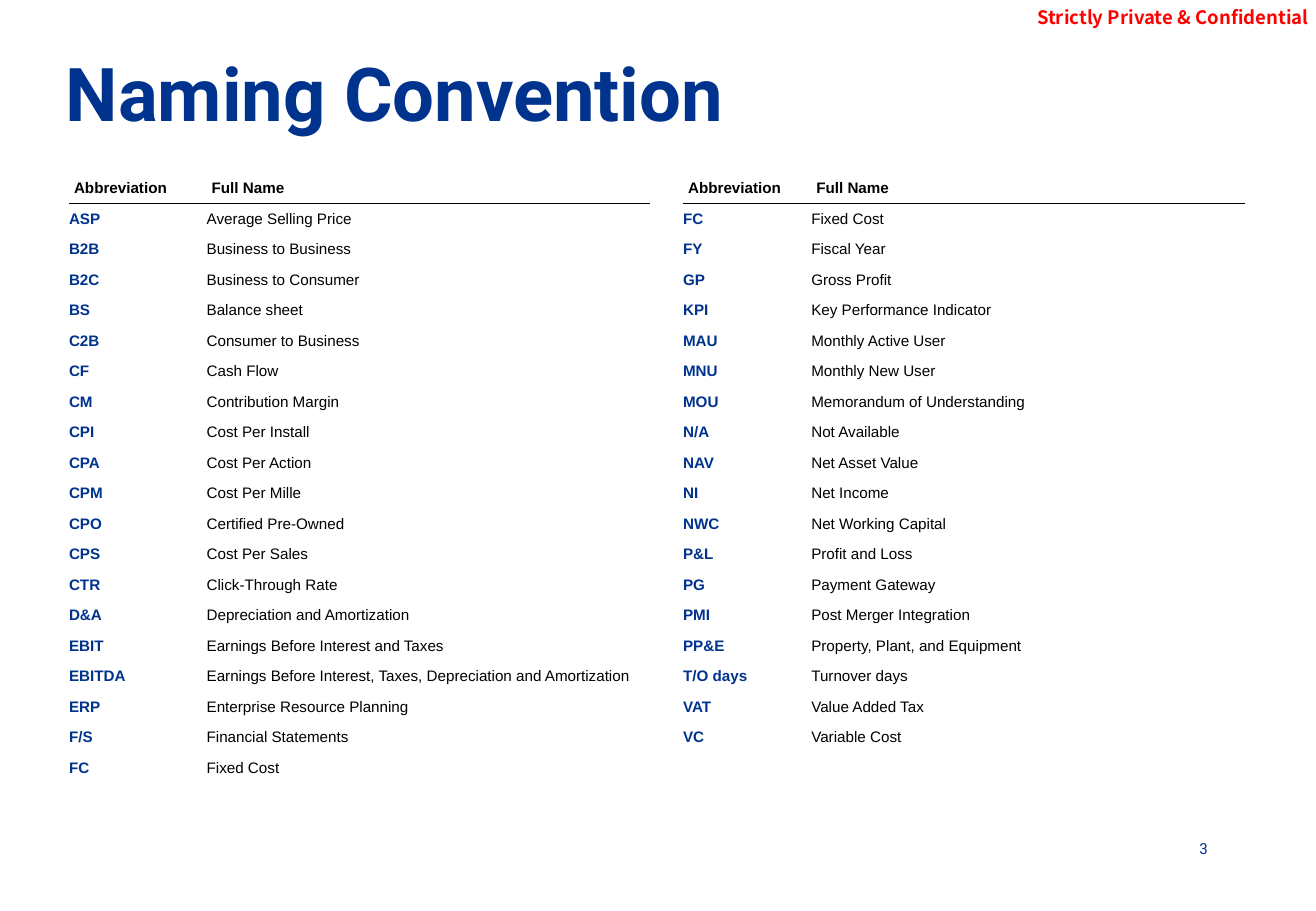
"""Build the naming convention slide with its table of abbreviations."""
from dataclasses import dataclass
from itertools import zip_longest

from lxml.etree import SubElement
from pptx import Presentation
from pptx.dml.color import RGBColor as RGB
from pptx.enum.text import MSO_ANCHOR as ANCHOR, MSO_AUTO_SIZE as AUTO, PP_ALIGN as ALIGN
from pptx.oxml.ns import qn
from pptx.util import Pt


@dataclass(frozen=True)
class Theme:
    navy: RGB = RGB(0x00, 0x33, 0x8D)
    black: RGB = RGB(0x00, 0x00, 0x00)
    red: RGB = RGB(0xFF, 0x00, 0x00)
    title_font: str = "Roboto"
    table_font: str = "Arial"
    label_font: str = "Noto Sans CJK KR"
    title_size: int = 44
    label_size: int = 11
    body_size: int = 9


THEME = Theme()
HEADER = ("Abbreviation", "Full Name")
BLANK = ("", "")
COLUMN_WIDTHS = (81.6, 262.8, 19.6, 76, 257)
ROW_HEIGHT = 18.11
LEFT_TERMS = [
    ("ASP", "Average Selling Price"),
    ("B2B", "Business to Business"),
    ("B2C", "Business to Consumer"),
    ("BS", "Balance sheet"),
    ("C2B", "Consumer to Business"),
    ("CF", "Cash Flow"),
    ("CM", "Contribution Margin"),
    ("CPI", "Cost Per Install"),
    ("CPA", "Cost Per Action"),
    ("CPM", "Cost Per Mille"),
    ("CPO", "Certified Pre-Owned"),
    ("CPS", "Cost Per Sales"),
    ("CTR", "Click-Through Rate"),
    ("D&A", "Depreciation and Amortization"),
    ("EBIT", "Earnings Before Interest and Taxes"),
    ("EBITDA", "Earnings Before Interest, Taxes, Depreciation and Amortization"),
    ("ERP", "Enterprise Resource Planning"),
    ("F/S", "Financial Statements"),
    ("FC", "Fixed Cost"),
]
RIGHT_TERMS = [
    ("FC", "Fixed Cost"),
    ("FY", "Fiscal Year"),
    ("GP", "Gross Profit"),
    ("KPI", "Key Performance Indicator"),
    ("MAU", "Monthly Active User"),
    ("MNU", "Monthly New User"),
    ("MOU", "Memorandum of Understanding"),
    ("N/A", "Not Available"),
    ("NAV", "Net Asset Value"),
    ("NI", "Net Income"),
    ("NWC", "Net Working Capital"),
    ("P&L", "Profit and Loss"),
    ("PG", "Payment Gateway"),
    ("PMI", "Post Merger Integration"),
    ("PP&E", "Property, Plant, and Equipment"),
    ("T/O days", "Turnover days"),
    ("VAT", "Value Added Tax"),
    ("VC", "Variable Cost"),
]


def set_font(p, name, size, color, bold=False):
    p.font.name = name
    p.font.size = Pt(size)
    p.font.color.rgb = color
    p.font.bold = bold


def place(sp, left, top, width, height):
    sp.left, sp.top, sp.width, sp.height = map(Pt, (left, top, width, height))


def set_margins(target, left, top, right, bottom):
    target.margin_left, target.margin_top = Pt(left), Pt(top)
    target.margin_right, target.margin_bottom = Pt(right), Pt(bottom)


def add_title(s, text):
    sp = s.shapes.title
    place(sp, 31.7, 38.9, 676.8, 46.1)
    tf = sp.text_frame
    tf.text = text
    tf.auto_size = AUTO.NONE
    tf.vertical_anchor = ANCHOR.TOP
    p = tf.paragraphs[0]
    p.alignment = ALIGN.LEFT
    p.line_spacing = 0.7
    set_font(p, THEME.title_font, THEME.title_size, THEME.navy, True)


def add_right_label(s, text, box, margins, anchor, font):
    tf = s.shapes.add_textbox(*map(Pt, box)).text_frame
    tf.text = text
    tf.word_wrap = True
    tf.vertical_anchor = anchor
    set_margins(tf, *margins)
    p = tf.paragraphs[0]
    p.alignment = ALIGN.RIGHT
    set_font(p, *font)


def set_borders(cell, ruled_side):
    tc_pr = cell._tc.get_or_add_tcPr()
    for side in ("lnL", "lnR", "lnT", "lnB"):
        if side == ruled_side:
            line = SubElement(tc_pr, qn(f"a:{side}"), w=str(Pt(0.5)))
            fill = SubElement(line, qn("a:solidFill"))
            SubElement(fill, qn("a:srgbClr"), val=str(THEME.black))
        else:
            line = SubElement(tc_pr, qn(f"a:{side}"), w="0")
            SubElement(line, qn("a:noFill"))


def fill_cell(cell, text, is_header, is_term):
    inset = 3 if is_header else 0
    set_margins(cell, inset, 0, inset, 0)
    cell.vertical_anchor = ANCHOR.MIDDLE
    cell.text = text
    p = cell.text_frame.paragraphs[0]
    color = THEME.navy if is_term and not is_header else THEME.black
    set_font(p, THEME.table_font, THEME.body_size, color, is_header or is_term)
    if not text:
        p.line_spacing = Pt(THEME.body_size)


def add_terms_table(s, left, top):
    pairs = [(HEADER, HEADER), *zip_longest(LEFT_TERMS, RIGHT_TERMS, fillvalue=BLANK)]
    size = Pt(sum(COLUMN_WIDTHS)), Pt(ROW_HEIGHT * len(pairs))
    frame = s.shapes.add_table(len(pairs), len(COLUMN_WIDTHS), Pt(left), Pt(top), *size)
    table = frame.table
    table.first_row = table.horz_banding = False
    for column, width in zip(table.columns, COLUMN_WIDTHS):
        column.width = Pt(width)
    ruled_sides = {0: "lnB", 1: "lnT"}
    for i, (first, second) in enumerate(pairs):
        table.rows[i].height = Pt(ROW_HEIGHT)
        for j, text in enumerate((*first, "", *second)):
            cell = table.cell(i, j)
            fill_cell(cell, text, i == 0, j in (0, 3))
            set_borders(cell, ruled_sides.get(i) if text else None)
            cell.fill.background()


def main():
    prs = Presentation()
    prs.slide_width, prs.slide_height = Pt(780), Pt(540)
    s = prs.slides.add_slide(prs.slide_layouts[5])
    add_title(s, "Naming Convention")
    add_right_label(s, "Strictly Private & Confidential", (599, -0.7, 180, 20.2), (0, 3, 3, 3),
                    ANCHOR.BOTTOM, (THEME.label_font, THEME.label_size, THEME.red, True))
    add_terms_table(s, 40.9, 102.7)
    add_right_label(s, "3", (685, 497.5, 31, 11.5), (0, 0, 0, 0),
                    ANCHOR.TOP, (THEME.title_font, THEME.body_size, THEME.navy))
    prs.save("out.pptx")


if __name__ == "__main__":
    main()
